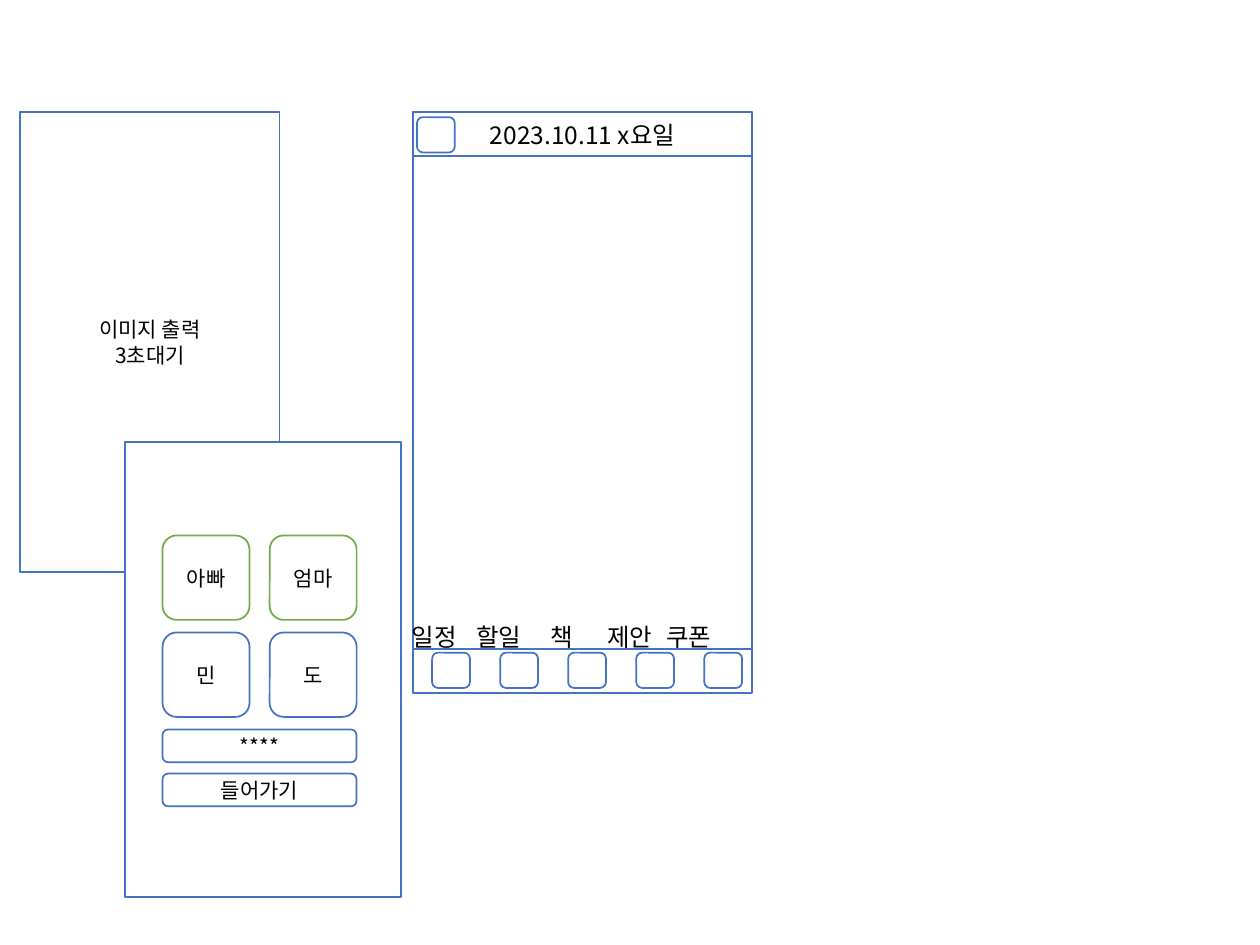
from collections import namedtuple
from dataclasses import dataclass

from lxml.etree import SubElement
from pptx import Presentation
from pptx.dml.color import RGBColor
from pptx.enum.shapes import MSO_SHAPE
from pptx.enum.text import MSO_ANCHOR, PP_ALIGN
from pptx.oxml.ns import qn
from pptx.util import Inches, Pt

Box = namedtuple("Box", "left top width height")


@dataclass(frozen=True)
class Theme:
    font: str = "Noto Sans CJK KR"
    surface: RGBColor = RGBColor(0xFF, 0xFF, 0xFF)
    text: RGBColor = RGBColor(0, 0, 0)
    blue: RGBColor = RGBColor(0x44, 0x72, 0xC4)
    green: RGBColor = RGBColor(0x70, 0xAD, 0x47)
    line_width: Pt = Pt(1)
    body_size: Pt = Pt(12)
    header_size: Pt = Pt(14)


THEME = Theme()


def apply_format(target, values):
    for name, value in values.items():
        setattr(target, name, value)


def write_line(paragraph, text, size):
    run = paragraph.add_run()
    run.text = text
    apply_format(run.font, {"name": THEME.font, "size": size})
    run.font.color.rgb = THEME.text
    SubElement(run.font._element, qn("a:ea"), typeface=THEME.font)


def inset(box, left, top, width, height):
    return Box(box.left + Inches(left), box.top + Inches(top), Inches(width), Inches(height))


def add_panel(shapes, box, lines=(), kind=MSO_SHAPE.RECTANGLE, line_color=THEME.blue, size=THEME.body_size):
    shape = shapes.add_shape(kind, *box)
    shape.shadow.inherit = False
    shape.fill.solid()
    shape.fill.fore_color.rgb = THEME.surface
    shape.line.color.rgb = line_color
    shape.line.width = THEME.line_width
    frame = shape.text_frame
    apply_format(frame, {"word_wrap": True, "vertical_anchor": MSO_ANCHOR.MIDDLE})
    for index, text in enumerate(lines):
        paragraph = frame.add_paragraph() if index else frame.paragraphs[0]
        paragraph.alignment = PP_ALIGN.CENTER
        write_line(paragraph, text, size)


def add_rounded(shapes, box, lines=(), line_color=THEME.blue):
    add_panel(shapes, box, lines, MSO_SHAPE.ROUNDED_RECTANGLE, line_color)


def add_tab_labels(slide, box, labels, stops):
    frame = slide.shapes.add_textbox(*box).text_frame
    frame.word_wrap = True
    paragraph = frame.paragraphs[0]
    tab_list = SubElement(paragraph._p.get_or_add_pPr(), qn("a:tabLst"))
    for stop in stops:
        SubElement(tab_list, qn("a:tab"), pos=str(Inches(stop)), algn="l")
    paragraph.line_spacing = 1.5
    write_line(paragraph, "\t".join(labels), THEME.header_size)


def build_home_screen(slide, box):
    shapes = slide.shapes.add_group_shape().shapes
    add_panel(shapes, box)
    add_panel(shapes, inset(box, 0, 4.26, 2.69, 0.35))
    add_panel(shapes, inset(box, 0, 0, 2.69, 0.35), ["2023.10.11 x요일"], size=THEME.header_size)
    add_rounded(shapes, inset(box, 0.03, 0.04, 0.3, 0.28))
    for index in range(5):
        add_rounded(shapes, inset(box, 0.15 + 0.54 * index, 4.29, 0.3, 0.28))
    add_tab_labels(
        slide,
        inset(box, -0.11, 3.88, 2.98, 0.41),
        ["일정", "할일", "책", "제안", "쿠폰"],
        [0.51, 1.1, 1.55, 2.02],
    )


def build_splash_screen(slide, box):
    add_panel(slide.shapes, box, ["이미지 출력", "3초대기"])


def build_login_screen(slide, box):
    shapes = slide.shapes.add_group_shape().shapes
    add_panel(shapes, box)
    members = [(("아빠", "엄마"), THEME.green), (("민", "도"), THEME.blue)]
    for row, (names, color) in enumerate(members):
        for column, name in enumerate(names):
            tile = inset(box, 0.3 + 0.85 * column, 0.74 + 0.77 * row, 0.69, 0.67)
            add_rounded(shapes, tile, [name], color)
    for row, text in enumerate(["****", "들어가기"]):
        add_rounded(shapes, inset(box, 0.3, 2.28 + 0.35 * row, 1.54, 0.26), [text])


def main():
    presentation = Presentation()
    apply_format(presentation, {"slide_width": Inches(10), "slide_height": Inches(7.5)})
    slide = presentation.slides.add_slide(presentation.slide_layouts[6])
    build_home_screen(slide, Box(Inches(3.28), Inches(0.89), Inches(2.69), Inches(4.6)))
    build_splash_screen(slide, Box(Inches(0.16), Inches(0.89), Inches(2.06), Inches(3.65)))
    build_login_screen(slide, Box(Inches(0.99), Inches(3.51), Inches(2.19), Inches(3.61)))
    presentation.save("out.pptx")


if __name__ == "__main__":
    main()
